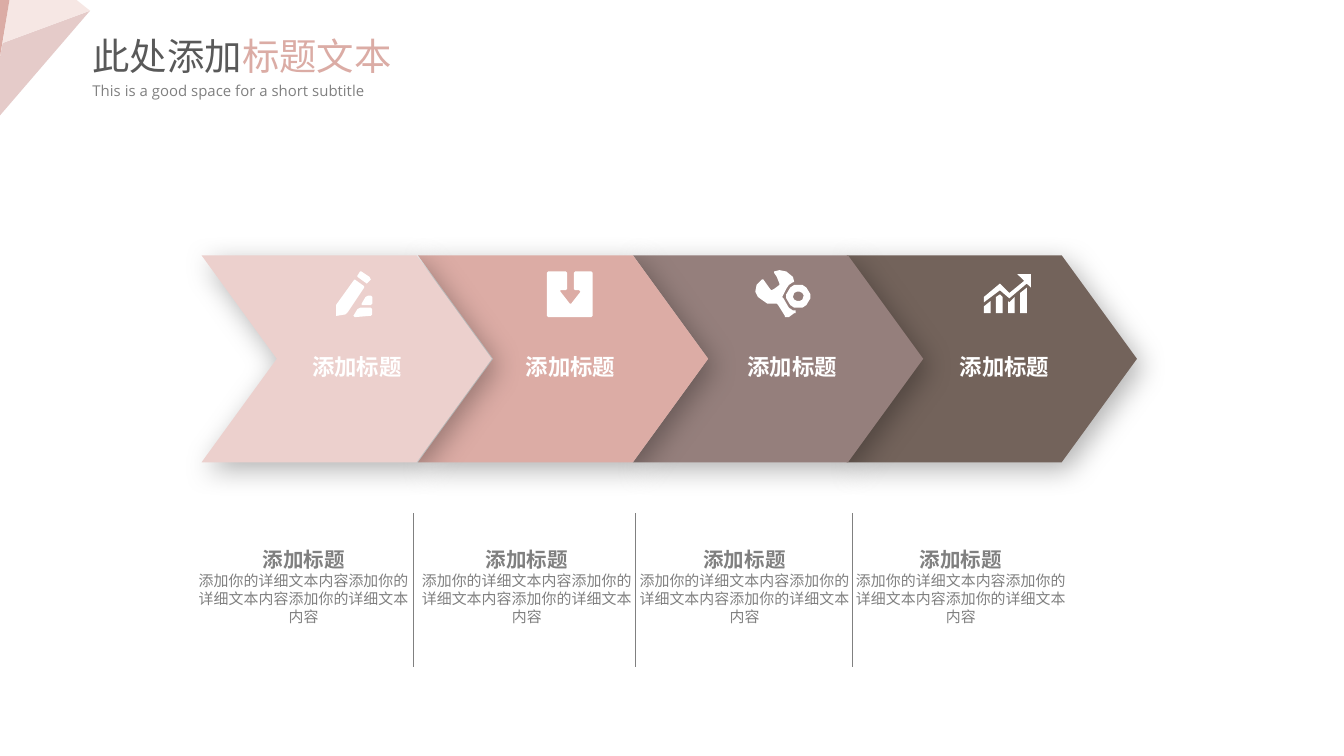
from dataclasses import dataclass

from lxml.etree import SubElement
from pptx import Presentation
from pptx.dml.color import RGBColor
from pptx.enum.shapes import MSO_CONNECTOR
from pptx.enum.text import MSO_AUTO_SIZE, PP_ALIGN
from pptx.oxml.ns import qn
from pptx.util import Inches, Pt

FONT = "Open Sans"
WHITE, GRAY = "FFFFFF", "808080"
HEADING = "添加标题"
DETAIL = "添加你的详细文本内容" * 3
PAGE_WIDTH = Inches(10)
PAGE_HEIGHT = PAGE_WIDTH * 9 // 16
TOP, MIDDLE, BOTTOM = 1.9, 2.67, 3.44
NOTCH, BODY_WIDTH = 0.56, 1.6

Outline = list[tuple[float, float]]


@dataclass
class Span:
    text: str
    size: float
    color: str
    bold: bool = False


@dataclass
class Step:
    left: float
    color: str
    label_left: float
    detail_left: float
    icon: list[list[Outline]]


def bar(left: float, right: float, top: Outline) -> Outline:
    return [(left, 2.33), *top, (right, 2.33)]


PENCIL = [
    [[(2.71, 2.13), (2.71, 2.14), (2.59, 2.32), (2.57, 2.34), (2.51, 2.35), (2.5, 2.35),
      (2.5, 2.27), (2.63, 2.09), (2.64, 2.08)]],
    [[(2.75, 2.06), (2.76, 2.08), (2.74, 2.1), (2.73, 2.11), (2.66, 2.06), (2.66, 2.05),
      (2.68, 2.02), (2.69, 2.02)]],
    [[(2.77, 2.34), (2.76, 2.35), (2.64, 2.36), (2.63, 2.35), (2.66, 2.3), (2.68, 2.29),
      (2.76, 2.29), (2.77, 2.3)]],
    [[(2.77, 2.26), (2.76, 2.27), (2.69, 2.27), (2.69, 2.26), (2.72, 2.21), (2.74, 2.2),
      (2.76, 2.2), (2.77, 2.21)]],
]
DOWNLOAD = [
    [[(4.41, 2.03), (4.41, 2.35), (4.4, 2.36), (4.08, 2.36), (4.07, 2.35), (4.07, 2.03),
      (4.08, 2.02), (4.21, 2.02), (4.22, 2.03), (4.22, 2.15), (4.21, 2.16), (4.17, 2.16),
      (4.17, 2.17), (4.24, 2.26), (4.25, 2.26), (4.32, 2.17), (4.31, 2.16), (4.28, 2.16),
      (4.27, 2.15), (4.27, 2.03), (4.28, 2.02), (4.4, 2.02)]],
]
WRENCH = [
    [[(5.92, 2.33), (5.91, 2.33), (5.87, 2.36), (5.86, 2.36), (5.84, 2.36), (5.84, 2.35),
      (5.79, 2.27), (5.78, 2.26), (5.71, 2.26), (5.64, 2.21), (5.62, 2.17), (5.63, 2.12),
      (5.67, 2.08), (5.68, 2.08), (5.73, 2.15), (5.74, 2.16), (5.76, 2.15), (5.8, 2.12),
      (5.8, 2.11), (5.78, 2.06), (5.76, 2.03), (5.76, 2.02), (5.8, 2.01), (5.85, 2.02),
      (5.9, 2.06), (5.91, 2.1), (5.9, 2.1), (5.87, 2.12), (5.85, 2.15), (5.83, 2.19),
      (5.82, 2.21), (5.83, 2.22), (5.87, 2.29), (5.9, 2.31), (5.92, 2.31)]],
    [[(6.03, 2.19), (6, 2.14), (5.97, 2.12), (5.91, 2.12), (5.88, 2.14), (5.85, 2.19),
      (5.85, 2.22), (5.88, 2.27), (5.91, 2.29), (5.97, 2.29), (6, 2.27), (6.03, 2.22)],
     [(5.95, 2.24), (5.93, 2.24), (5.91, 2.23), (5.9, 2.21), (5.91, 2.18), (5.93, 2.17),
      (5.95, 2.17), (5.97, 2.18), (5.98, 2.2), (5.97, 2.23)]],
]
CHART = [
    [bar(7.41, 7.46, [(7.41, 2.21), (7.44, 2.19), (7.46, 2.21)]),
     bar(7.32, 7.37, [(7.32, 2.28), (7.37, 2.24)]),
     bar(7.59, 7.64, [(7.59, 2.18), (7.64, 2.14)]),
     bar(7.5, 7.55, [(7.5, 2.24), (7.51, 2.25), (7.55, 2.21)])],
    [[(7.67, 2.04), (7.57, 2.04), (7.62, 2.09), (7.51, 2.18), (7.44, 2.11), (7.32, 2.21),
      (7.32, 2.25), (7.44, 2.16), (7.51, 2.22), (7.64, 2.11), (7.67, 2.14)]],
]
STEPS = [
    Step(1.5, "ECD0CD", 2.08, 1.47, PENCIL),
    Step(3.11, "DCACA5", 3.67, 3.13, DOWNLOAD),
    Step(4.71, "957F7C", 5.32, 4.75, WRENCH),
    Step(6.3, "73635B", 6.9, 6.36, CHART),
]
CORNER = [
    ("E5CBC9", [(0.67, 0.08), (0.02, 0.32), (-0.01, 0.48), (-0.01, 0.87)]),
    ("F6E7E4", [(0.67, 0.08), (0.57, 0), (0.07, 0), (0.02, 0.32)]),
    ("DBACA5", [(0.07, 0), (-0.01, 0), (-0.01, 0.48)]),
]
DIVIDERS = [3.08, 4.73, 6.34]


def rgb(color: str) -> RGBColor:
    return RGBColor.from_string(color)


def apply_format(target, values: dict) -> None:
    for name, value in values.items():
        setattr(target, name, value)


def add_text(page, left: float, top: float, width: float, height: float,
             paragraphs: list[list[Span]], frame_format: dict, para_format: dict) -> None:
    box = page.shapes.add_textbox(Inches(left), Inches(top), Inches(width), Inches(height))
    frame = box.text_frame
    apply_format(frame, {"auto_size": MSO_AUTO_SIZE.SHAPE_TO_FIT_TEXT, **frame_format})
    for index, spans in enumerate(paragraphs):
        para = frame.paragraphs[0] if index == 0 else frame.add_paragraph()
        apply_format(para, para_format)
        for span in spans:
            run = para.add_run()
            run.text = span.text
            apply_format(run.font, {"name": FONT, "size": Pt(span.size), "bold": span.bold})
            run.font.color.rgb = rgb(span.color)


def add_outline(page, outlines: list[Outline], color: str):
    contours = [[(Inches(x), Inches(y)) for x, y in outline] for outline in outlines]
    builder = page.shapes.build_freeform(*contours[0][0])
    for index, contour in enumerate(contours):
        if index:
            builder.move_to(*contour[0])
        builder.add_line_segments(contour[1:], close=True)
    shape = builder.convert_to_shape()
    shape.fill.solid()
    shape.fill.fore_color.rgb = rgb(color)
    shape.line.fill.background()
    shape.shadow.inherit = False
    return shape


def add_shadow(shape) -> None:
    effects = shape._element.spPr.find(qn("a:effectLst"))
    shadow = SubElement(effects, qn("a:outerShdw"), blurRad=str(Pt(15)), dist=str(Pt(5)),
                        dir=str(55 * 60000), algn="tl", rotWithShape="0")
    tint = SubElement(shadow, qn("a:srgbClr"), val="000000")
    SubElement(tint, qn("a:alpha"), val="30000")


def add_divider(page, x: float) -> None:
    line = page.shapes.add_connector(MSO_CONNECTOR.STRAIGHT, Inches(x), Inches(3.82),
                                     Inches(x), Inches(4.96))
    line.line.color.rgb = rgb(GRAY)
    line.line.width = Pt(0.5)
    SubElement(line._element.spPr, qn("a:effectLst"))


def add_step(page, step: Step) -> None:
    left, right = step.left, step.left + BODY_WIDTH
    chevron = [(left, TOP), (left + NOTCH, MIDDLE), (left, BOTTOM),
               (right, BOTTOM), (right + NOTCH, MIDDLE), (right, TOP)]
    add_shadow(add_outline(page, [chevron], step.color))
    for outlines in step.icon:
        add_outline(page, outlines, WHITE)
    margins = ("margin_left", "margin_top", "margin_right", "margin_bottom")
    tight = {"word_wrap": True, **dict.fromkeys(margins, 0)}
    centered = {"alignment": PP_ALIGN.CENTER}
    add_text(page, step.label_left, 2.59, 1.15, 0.23, [[Span(HEADING, 12, WHITE, True)]],
             tight, {**centered, "line_spacing": 1.2})
    add_text(page, step.detail_left, 4.07, 1.58, 0.59,
             [[Span(HEADING, 11, GRAY, True)], [Span(DETAIL, 8, GRAY)]], tight, centered)


def main() -> None:
    deck = Presentation()
    apply_format(deck, {"slide_width": PAGE_WIDTH, "slide_height": PAGE_HEIGHT})
    page = deck.slides.add_slide(deck.slide_layouts[6])
    for color, outline in CORNER:
        add_outline(page, [outline], color)
    title = [Span("此处添加", 20, "595959"), Span("标题文本", 20, "DBACA5")]
    subtitle = [Span("This is a good space for a short subtitle", 8, GRAY)]
    add_text(page, 0.59, 0.2, 2.45, 0.44, [title], {"word_wrap": False}, {})
    add_text(page, 0.59, 0.56, 2.27, 0.24, [subtitle], {"word_wrap": False}, {})
    for step in reversed(STEPS):
        add_step(page, step)
    for x in DIVIDERS:
        add_divider(page, x)
    deck.save("out.pptx")


if __name__ == "__main__":
    main()
